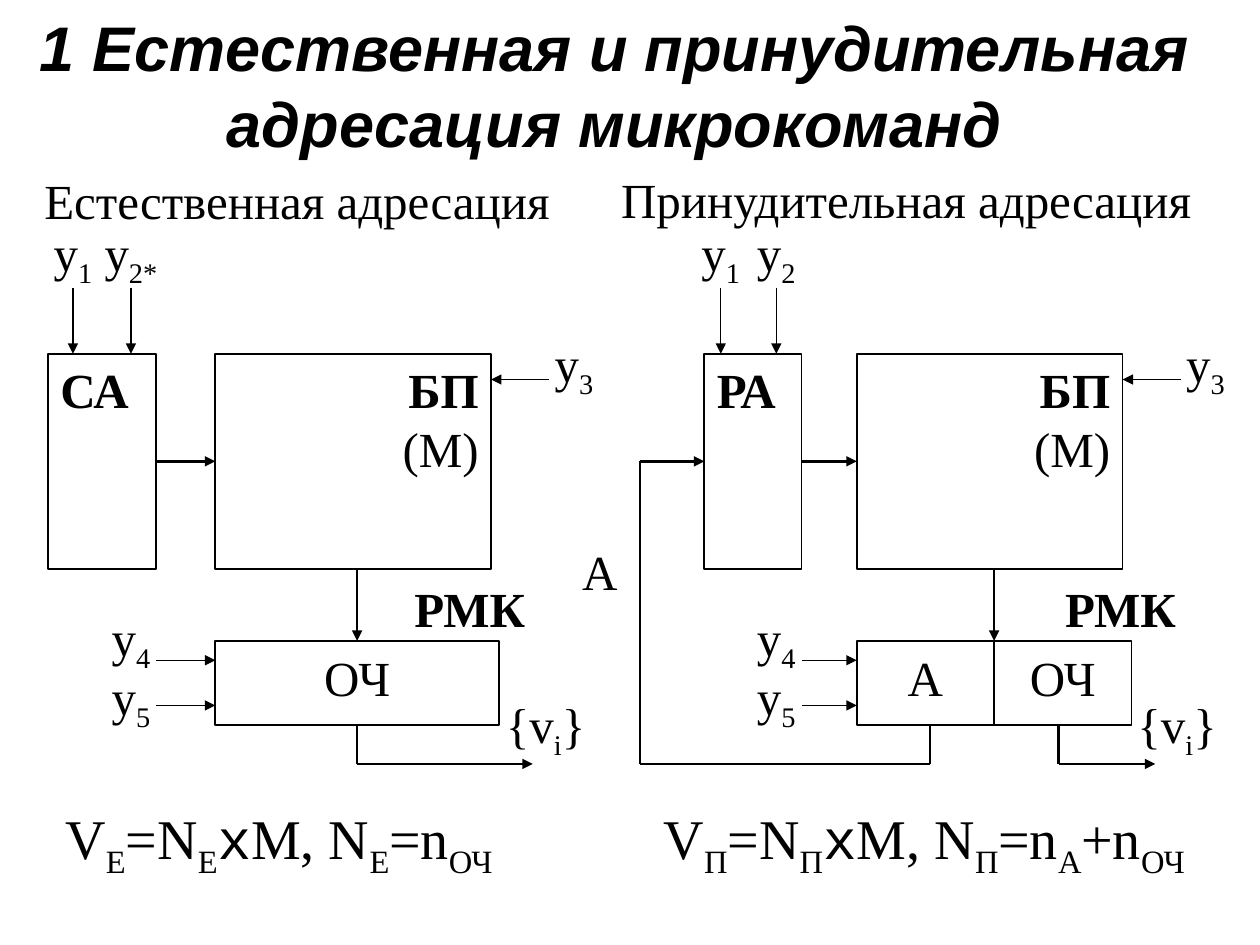
"""Builds the slide on natural and forced microinstruction addressing."""
from lxml import etree
from pptx import Presentation
from pptx.dml.color import RGBColor
from pptx.enum.shapes import MSO_CONNECTOR as Link, MSO_SHAPE as Kind
from pptx.enum.text import MSO_ANCHOR as Anchor, MSO_AUTO_SIZE as Fit, PP_ALIGN as Align
from pptx.oxml.ns import qn
from pptx.util import Cm, Pt

INK = "000000"
SERIF = "Times New Roman"


def tint(code):
    return RGBColor.from_string(code)


class Page:
    def __init__(self, slide):
        self.slide = slide
        self.shapes = slide.shapes

    def put(self, shape, lines, align, size=28, bold=0, face=SERIF, slant=False):
        frame = shape.text_frame
        frame.auto_size = Fit.NONE
        for row, line in enumerate(lines):
            para = frame.add_paragraph() if row else frame.paragraphs[0]
            parts = line.split("|")
            para.text = parts[0]
            para.alignment = align
            para.space_before = Pt(0)
            levels = [0]
            for spot, part in enumerate(parts[1:], 1):
                if part:
                    para.add_run().text = part
                    levels.append(spot % 2)
            for run, low in zip(para.runs, levels):
                font = run.font
                font.name = "Courier New" if run.text == "x" else face
                font.size = Pt(size)
                font.bold = row < bold
                font.italic = slant
                font.color.rgb = tint(INK)
                if low:
                    run._r.get_or_add_rPr().set("baseline", "-25000")
        return frame

    def place(self, shape, x, y, wide, high):
        shape.left, shape.top = Cm(x), Cm(y)
        shape.width, shape.height = Cm(wide), Cm(high)

    def title(self, text):
        shape = self.shapes.title
        self.place(shape, 0, 0.43, 24.77, 2.54)
        frame = self.put(shape, [text], Align.CENTER, 36, 1, "Arial", True)
        frame.vertical_anchor = Anchor.MIDDLE

    def body(self, text, x, y, wide, high):
        shape = self.slide.placeholders[1]
        self.place(shape, x, y, wide, high)
        props = shape.text_frame.paragraphs[0]._p.get_or_add_pPr()
        props.set("marL", "0")
        props.set("indent", "0")
        etree.SubElement(props, qn("a:buNone"))
        self.put(shape, [text], Align.JUSTIFY)

    def note(self, text, x, y, wide, high, size=28):
        shape = self.shapes.add_textbox(Cm(x), Cm(y), Cm(wide), Cm(high))
        self.put(shape, [text], Align.JUSTIFY, size).word_wrap = True

    def label(self, text, mid, y, bold=0):
        wide = 2
        shape = self.shapes.add_textbox(Cm(mid - wide / 2), Cm(y), Cm(wide), Cm(1.57))
        self.put(shape, [text], Align.CENTER, bold=bold).word_wrap = False

    def box(self, lines, x, y, wide, high, align=Align.CENTER, bold=0):
        shape = self.shapes.add_shape(Kind.RECTANGLE, Cm(x), Cm(y), Cm(wide), Cm(high))
        shape.shadow.inherit = False
        shape.fill.background()
        shape.line.color.rgb = tint(INK)
        shape.line.width = Pt(1)
        self.put(shape, lines, align, bold=bold).vertical_anchor = Anchor.TOP
        return shape

    def line(self, x, y, to_x, to_y, width=1.5, head=True, start=None, end=None):
        wire = self.shapes.add_connector(Link.STRAIGHT, Cm(x), Cm(y), Cm(to_x), Cm(to_y))
        if start:
            wire.begin_connect(*start)
        if end:
            wire.end_connect(*end)
        wire.line.color.rgb = tint(INK)
        wire.line.width = Pt(width)
        if head:
            etree.SubElement(wire.line._get_or_add_ln(), qn("a:tailEnd"), type="triangle")
        etree.SubElement(wire._element.spPr, qn("a:effectLst"))


TOP, HIGH = 7.13, 4.34
MID, BASE = TOP + HIGH / 2, TOP + HIGH
CELL, DEEP = 12.92, 1.7
FOOT, LOW = CELL + DEEP, 15.4


def scheme(page, name, reg, mem, cells, ins, down, out, tip, rmk):
    """Draws one control unit and returns its address register."""
    left, wide = reg
    right, end = left + wide, sum(mem)
    first = page.box([name], left, TOP, wide, HIGH, Align.LEFT, 1)
    store = page.box(["БП", "(M)"], mem[0], TOP, mem[1], HIGH, Align.RIGHT, 1)
    x = mem[0]
    for text, span in cells:
        cell = page.box([text], x, CELL, span, DEEP)
        x += span
    one = len(cells) == 1
    page.line(right, MID, mem[0], MID, start=(first, 3), end=(store, 1))
    page.line(down, BASE, down, CELL, end=(cell, 0) if one else None)
    page.line(out, FOOT, out, LOW, head=False, start=(cell, 2) if one else None)
    page.line(out, LOW, tip, LOW)
    for text, x in ins:
        page.label(text, x, 4.36)
        page.line(x, 5.8, x, TOP, 0.75)
    for text, y, level in (("y|4", 12.12, 13.31), ("y|5", 13.31, 14.22)):
        page.label(text, ins[1][1], y)
        page.line(right, level, mem[0], level, 0.75)
    page.label("y|3", end + 1.67, 6.6)
    page.line(end + 1.17, 7.65, end, 7.65, 0.75)
    page.label("РМК", rmk, 11.53, 1)
    page.label("{v|i|}", end + 1.1, 13.87)
    return first


def main():
    deck = Presentation()
    deck.slide_width, deck.slide_height = Cm(25.4), Cm(19.05)
    page = Page(deck.slides.add_slide(deck.slide_layouts[1]))
    page.title("1 Естественная и принудительная адресация микрокоманд")
    page.body("Естественная адресация", 0.64, 3.3, 11.86, 2.11)
    page.note("Принудительная адресация", 12.27, 3.3, 13.13, 2.11)

    scheme(page, "СА", (0.97, 2.18), (4.34, 5.56), [("ОЧ", 5.72)],
           [("y|1", 1.47), ("y|2*", 2.64)], 7.2, 7.2, 10.74, 9.47)
    reg = scheme(page, "РА", (14.2, 1.96), (17.27, 5.36), [("А", 2.77), ("ОЧ", 2.77)],
                 [("y|1", 14.53), ("y|2", 15.65)], 20.04, 21.34, 23.29, 22.59)

    back, drop = 12.9, 18.75
    page.line(drop, FOOT, drop, LOW, head=False)
    page.line(drop, LOW, back, LOW, head=False)
    page.line(back, LOW, back, MID, head=False)
    page.line(back, MID, 14.2, MID, end=(reg, 1))
    page.label("A", 12.09, 10.8)

    page.note("V|Е|=N|Е|x||M, N|Е|=n|ОЧ", 1.07, 16.08, 11.86, 2.97, 32)
    page.note("V|П|=N|П|x||M, N|П|=n|А|+n|ОЧ", 13.13, 16.08, 11.63, 2.34, 32)
    deck.save("out.pptx")


if __name__ == "__main__":
    main()
